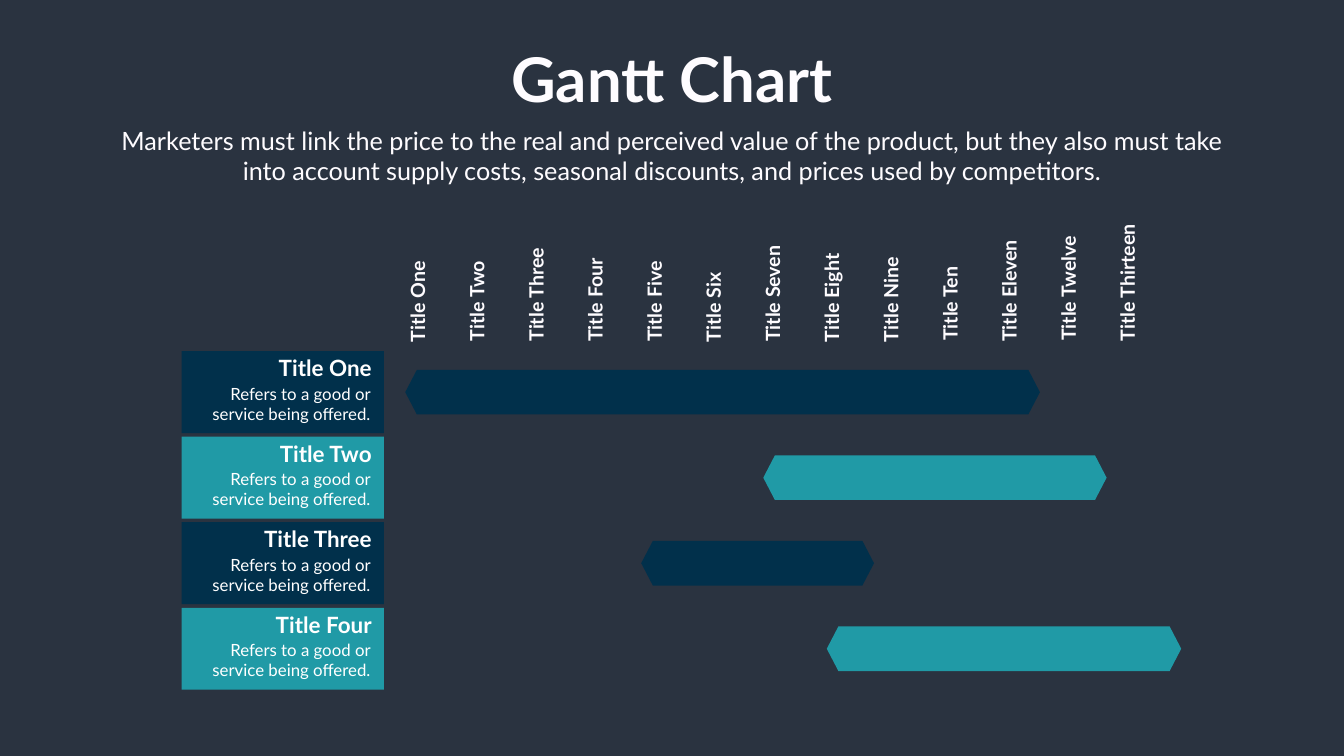
from pptx import Presentation
from pptx.dml.color import RGBColor
from pptx.enum.shapes import MSO_SHAPE
from pptx.enum.text import MSO_AUTO_SIZE, PP_ALIGN
from pptx.util import Cm, Pt

RECT, HEX = MSO_SHAPE.RECTANGLE, MSO_SHAPE.HEXAGON
MID, RIGHT = PP_ALIGN.CENTER, PP_ALIGN.RIGHT
GROW = MSO_AUTO_SIZE.SHAPE_TO_FIT_TEXT

COLORS = {"back": "2A3340", "navy": "01304B", "teal": "209AA6",
          "light": "FEFCFF", "white": "FFFFFF"}
FONT = "Lato"
INTRO = ("Marketers must link the price to the real and perceived value of "
         "the product, but they also must take into account supply costs, "
         "seasonal discounts, and prices used by competitors.")
DETAIL = "Refers to a good or service being offered."
LABELS = [("One", 4.65), ("Two", 4.72), ("Three", 5.36), ("Four", 4.83),
          ("Five", 4.65), ("Six", 4.09), ("Seven", 5.46), ("Eight", 5.03),
          ("Nine", 4.88), ("Ten", 4.45), ("Eleven", 5.74), ("Twelve", 5.99),
          ("Thirteen", 6.55)]
TASKS = [("Title One", 5.26, "navy", 20.42, 31.98),
         ("Title Two", 5.33, "teal", 38.46, 17.3),
         ("Title Three", 6.05, "navy", 32.31, 11.73),
         ("Title Four", 5.44, "teal", 41.66, 17.86)]


def add_text(slide, box, text, size, color, align, bold=False, wrap=False):
    shape = slide.shapes.add_textbox(*map(Cm, box))
    frame = shape.text_frame
    frame.word_wrap = wrap
    frame.auto_size = GROW
    para = frame.paragraphs[0]
    para.text = text
    para.alignment = align
    font = para.font
    font.name, font.size, font.bold = FONT, Pt(size), bold
    font.color.rgb = RGBColor.from_string(COLORS[color])
    return shape


def add_block(slide, kind, box, color):
    shape = slide.shapes.add_shape(kind, *map(Cm, box))
    shape.shadow.inherit = False
    shape.fill.solid()
    shape.fill.fore_color.rgb = RGBColor.from_string(COLORS[color])
    shape.line.fill.background()
    return shape


def add_header(slide, left, top, width):
    name = 17.1
    add_text(slide, (left + (width - name) / 2, top, name, 4.02),
             "Gantt Chart", 88, "light", MID, bold=True)
    add_text(slide, (left, top + 4.24, width, 3.33),
             INTRO, 36, "light", MID, wrap=True)


def add_scale(slide, left, base, step):
    high = 1.45
    for i, (name, width) in enumerate(LABELS):
        mid_x, mid_y = left + i * step, base - width / 2
        label = add_text(slide, (mid_x - width / 2, mid_y - high / 2, width, high),
                         f"Title {name}", 28, "light", MID, bold=True)
        label.rotation = 270


def add_task(slide, left, top, width, height, task):
    title, wide, color, start, span = task
    add_block(slide, RECT, (left, top, width, height), color)
    add_text(slide, (left + width - 0.37 - wide, top + 0.03, wide, 1.63),
             title, 32, "white", RIGHT, bold=True)
    add_text(slide, (left + 1.12, top + 1.5, 8.64, 2.31),
             DETAIL, 24, "white", RIGHT, wrap=True)
    bar = add_block(slide, HEX, (start, top + 0.94, span, 2.25), color)
    bar.adjustments[0] = 0.26


def main():
    deck = Presentation()
    deck.slide_width, deck.slide_height = Cm(67.72), Cm(38.1)
    slide = deck.slides.add_slide(deck.slide_layouts[6])
    fill = slide.background.fill
    fill.solid()
    fill.fore_color.rgb = RGBColor.from_string(COLORS["back"])
    add_header(slide, 5.65, 1.93, 56.41)
    add_scale(slide, 21.04, 17.53, 2.98)
    for i, task in enumerate(TASKS):
        add_task(slide, 9.15, 17.7 + i * 4.31, 10.2, 4.13, task)
    deck.save("out.pptx")


if __name__ == "__main__":
    main()
